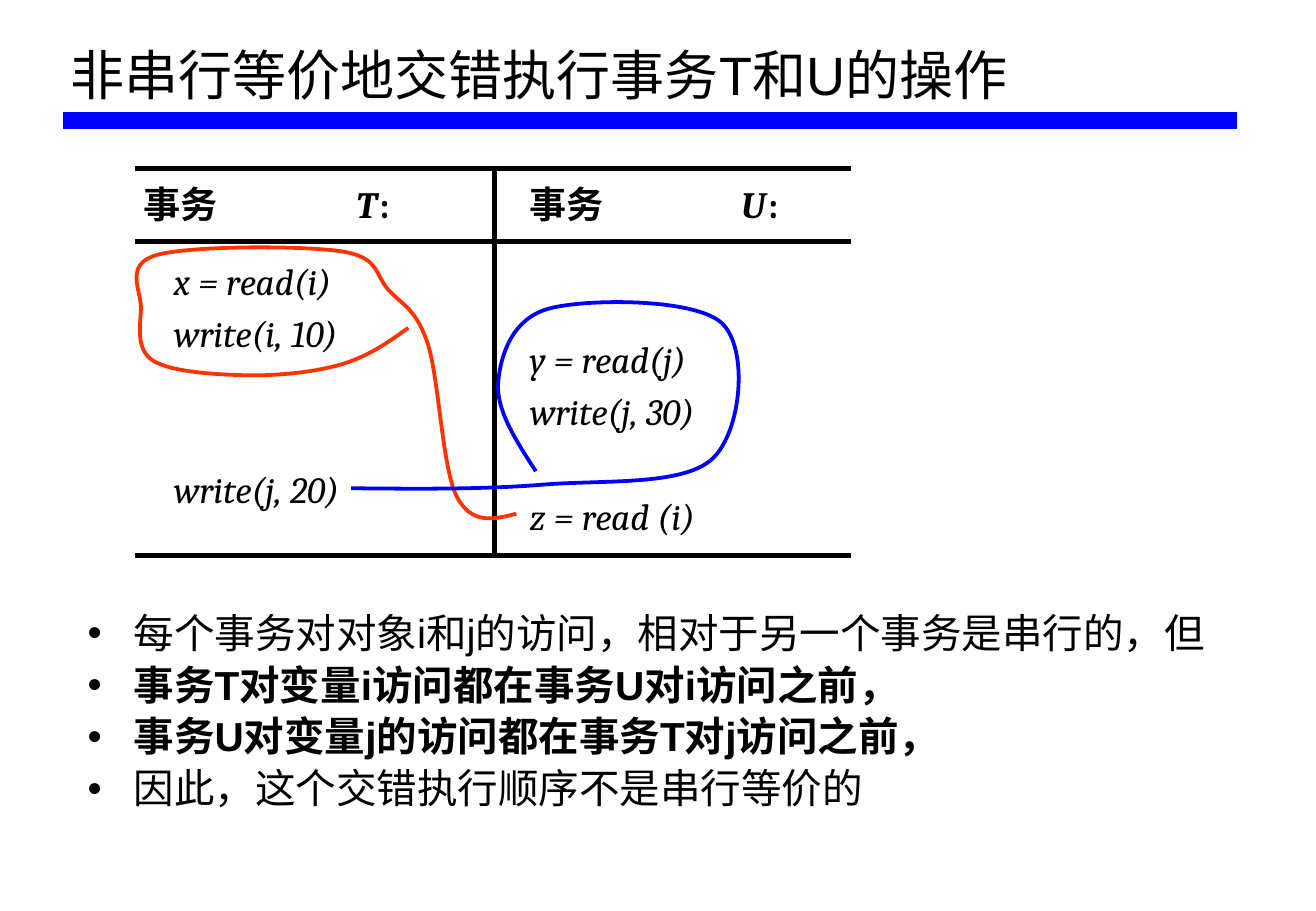
from lxml import etree
from pptx import Presentation
from pptx.dml.color import RGBColor
from pptx.enum.shapes import MSO_CONNECTOR
from pptx.enum.text import MSO_ANCHOR, MSO_AUTO_SIZE, PP_ALIGN
from pptx.oxml.ns import qn
from pptx.util import Pt

STRAIGHT = MSO_CONNECTOR.STRAIGHT
BOTTOM, TOP = MSO_ANCHOR.BOTTOM, MSO_ANCHOR.TOP
NO_FIT, GROW = MSO_AUTO_SIZE.NONE, MSO_AUTO_SIZE.SHAPE_TO_FIT_TEXT
LEFT = PP_ALIGN.LEFT
BLACK = RGBColor(0x00, 0x00, 0x00)
BLUE = RGBColor(0x00, 0x00, 0xFF)
RED = RGBColor(0xFF, 0x33, 0x00)
PX = 9144

TITLE = "非串行等价地交错执行事务T和U的操作"
BULLETS = [
    ("每个事务对对象i和j的访问，相对于另一个事务是串行的，但", False),
    ("事务T对变量i访问都在事务U对i访问之前，", True),
    ("事务U对变量j的访问都在事务T对j访问之前，", True),
    ("因此，这个交错执行顺序不是串行等价的", False),
]
HEADERS = [("T", 7, 182, 19), ("U", 325, 499, 22)]
OPERATIONS = [
    ("x = read(i)", 32, 74, 134),
    ("write(i, 10)", 32, 117, 138),
    ("y = read(j)", 325, 138, 134),
    ("write(j, 30)", 325, 181, 138),
    ("write(j, 20)", 32, 245, 138),
    ("z = read (i)", 325, 267, 140),
]
I_CONFLICT = [(314, 284), (265, 270), (241, 144), (209, 100), (170, 68), (18, 71),
              (5, 115), (15, 158), (92, 170), (170, 161), (225, 131)]
J_CONFLICT = [(178, 263), (336, 260), (475, 239), (483, 127), (341, 115),
              (299, 176), (330, 249)]


def set_font(font, size, name, bold=False, italic=False):
    font.size, font.name = Pt(size), name
    font.bold, font.italic = bold, italic
    font.color.rgb = BLACK


def place(sp, x, y, w, h):
    sp.left, sp.top, sp.width, sp.height = (v * PX for v in (x, y, w, h))


def add_line(s, x1, y1, x2, y2, color, width):
    line = s.shapes.add_connector(STRAIGHT, x1 * PX, y1 * PX, x2 * PX, y2 * PX)
    line.line.color.rgb = color
    line.line.width = Pt(width)
    etree.SubElement(line._element.spPr, qn("a:effectLst"))


def add_label(s, x, y, w, text, bold=False, italic=False):
    sp = s.shapes.add_textbox(x * PX, y * PX, w * PX, 37 * PX)
    tf = sp.text_frame
    tf.word_wrap, tf.auto_size = False, GROW
    tf.margin_left = tf.margin_right = tf.margin_top = tf.margin_bottom = 0
    p = tf.paragraphs[0]
    p.text = text
    set_font(p.font, 22, "Cambria", bold, italic)


def midpoint(a, b):
    return (a[0] + b[0]) / 2, (a[1] + b[1]) / 2


def bezier_points(knots):
    slopes = [((b[0] - a[0]) / 6, (b[1] - a[1]) / 6) for a, b in zip(knots, knots[2:])]
    before = [(k[0] - d[0], k[1] - d[1]) for k, d in zip(knots[1:], slopes)]
    after = [(k[0] + d[0], k[1] + d[1]) for k, d in zip(knots[1:], slopes)]
    starts = [midpoint(knots[0], before[0])] + after
    ends = before + [midpoint(after[-1], knots[-1])]
    return [pt for curve in zip(starts, ends, knots[1:]) for pt in curve]


def add_curve(s, x, y, knots, color):
    points = [((x + px) * PX, (y + py) * PX) for px, py in [knots[0]] + bezier_points(knots)]
    builder = s.shapes.build_freeform(*points[0])
    builder.add_line_segments(points[1:], close=False)
    sp = builder.convert_to_shape()
    sp.shadow.inherit = False
    sp.fill.background()
    sp.line.color.rgb = color
    sp.line.width = Pt(2.25)
    outline = next(sp._element.iter(qn("a:moveTo"))).getparent()
    segments = outline.findall(qn("a:lnTo"))
    for i in range(0, len(segments), 3):
        curve = etree.SubElement(outline, qn("a:cubicBezTo"))
        for segment in segments[i:i + 3]:
            curve.append(segment[0])
            outline.remove(segment)


def add_title(s, x, y, w, h):
    sp = s.shapes.title
    place(sp, x, y, w, h)
    tf = sp.text_frame
    tf.text = TITLE
    tf.auto_size, tf.vertical_anchor = NO_FIT, BOTTOM
    p = tf.paragraphs[0]
    p.alignment, p.line_spacing = LEFT, 0.9
    set_font(p.font, 32, "Arial")
    add_line(s, x + 4, y + h + 6, x + w - 2, y + h + 6, BLUE, 10)


def add_bullets(s, x, y, w, h):
    sp = s.placeholders[1]
    place(sp, x, y, w, h)
    tf = sp.text_frame
    tf.auto_size, tf.vertical_anchor = NO_FIT, TOP
    for i, (text, bold) in enumerate(BULLETS):
        p = tf.add_paragraph() if i else tf.paragraphs[0]
        p.text = text
        p.line_spacing = 0.9
        set_font(p.font, 24, "Arial", bold)
        pPr = p._p.get_or_add_pPr()
        pPr.set("marL", str(38 * PX))
        pPr.set("indent", str(-38 * PX))


def add_schedule(s, x, y, w, h):
    for name, word_x, name_x, name_w in HEADERS:
        add_label(s, x + word_x, y + 10, 61, "事务", bold=True)
        add_label(s, x + name_x, y + 10, name_w, name, bold=True, italic=True)
        add_label(s, x + name_x + name_w, y + 10, 10, ":", bold=True)
    for text, dx, dy, text_w in OPERATIONS:
        add_label(s, x + dx, y + dy, text_w, text, italic=True)
    for dy in (0, 60, h):
        add_line(s, x, y + dy, x + w, y + dy, BLACK, 3)
    add_line(s, x + 296, y, x + 296, y + h, BLACK, 3)
    add_curve(s, x, y, I_CONFLICT, RED)
    add_curve(s, x, y, J_CONFLICT, BLUE)


def main():
    prs = Presentation()
    prs.slide_width, prs.slide_height = 1083 * PX, 750 * PX
    s = prs.slides.add_slide(prs.slide_layouts[1])
    add_title(s, 48, 13, 972, 80)
    add_bullets(s, 62, 500, 969, 182)
    add_schedule(s, 111, 139, 589, 318)
    prs.save("out.pptx")


if __name__ == "__main__":
    main()
